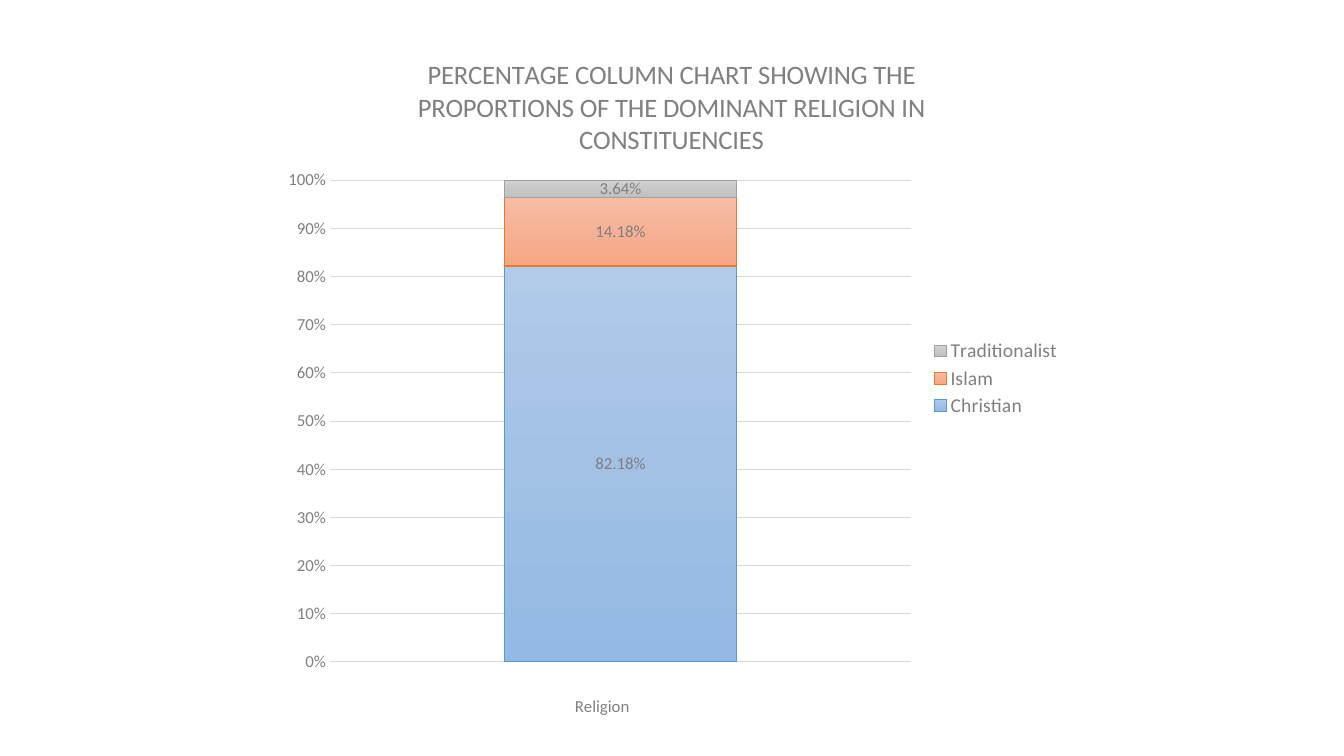
from lxml import etree
from pptx import Presentation
from pptx.chart.data import CategoryChartData
from pptx.dml.color import RGBColor
from pptx.enum.chart import XL_CHART_TYPE, XL_LABEL_POSITION, XL_LEGEND_POSITION, XL_TICK_MARK
from pptx.oxml import parse_xml
from pptx.oxml.ns import nsdecls, qn
from pptx.util import Inches, Pt

TITLE = "PERCENTAGE COLUMN CHART SHOWING THE PROPORTIONS OF THE DOMINANT RELIGION IN CONSTITUENCIES"
AXIS = "Religion"
FONT = "Calibri"
COLORS = {"text": "808080", "grid": "D9D9D9"}
SERIES = [
    ("Christian", 0.8218, ("B1CBE9", "A3C1E5", "93B9E4"), "5998D0"),
    ("Islam", 0.1418, ("F7BDA5", "F5B196", "F8A582"), "E87A30"),
    ("Traditionalist", 0.0364, ("D2D2D2", "C8C8C8", "C0C0C0"), "A1A1A1"),
]
BOX = (2.71, 0.23, 7.92, 7.05)
PLACES = {
    "title": {"x": 0.175, "y": 0.04},
    "plot": {"x": 0.071, "y": 0.221, "w": 0.728, "h": 0.678},
    "axis": {"x": 0.374, "y": 0.941},
    "legend": {"x": 0.82, "y": 0.44, "w": 0.17, "h": 0.12},
}


def style(font, size):
    font.name = FONT
    font.size = Pt(size)
    font.bold = False
    font.color.rgb = RGBColor.from_string(COLORS["text"])


def write(frame, text, size=12):
    run = frame.paragraphs[0].add_run()
    run.text = text
    style(run.font, size)


def place(parent, spot, before, inner=False):
    for old in parent.findall(qn("c:layout")):
        parent.remove(old)
    layout = parse_xml(f"<c:layout {nsdecls('c')}/>")
    manual = etree.SubElement(layout, qn("c:manualLayout"))
    if inner:
        etree.SubElement(manual, qn("c:layoutTarget")).set("val", "inner")
    for key in ("x", "y"):
        etree.SubElement(manual, qn(f"c:{key}Mode")).set("val", "edge")
    for key, val in spot.items():
        etree.SubElement(manual, qn(f"c:{key}")).set("val", str(val))
    mark = next(kid for kid in parent if kid.tag in [qn(f"c:{name}") for name in before])
    mark.addprevious(layout)


def shade(series, tones):
    stops = "".join(
        f'<a:gs pos="{i * 50000}"><a:srgbClr val="{tone}"/></a:gs>' for i, tone in enumerate(tones)
    )
    fill = parse_xml(
        f'<a:gradFill {nsdecls("a")} rotWithShape="1"><a:gsLst>{stops}</a:gsLst>'
        '<a:lin ang="5400000" scaled="0"/></a:gradFill>'
    )
    series.format.fill.background()
    props = series._element.find(qn("c:spPr"))
    props.replace(props.find(qn("a:noFill")), fill)


def main():
    deck = Presentation()
    deck.slide_width, deck.slide_height = Inches(13.33), Inches(7.5)
    slide = deck.slides.add_slide(deck.slide_layouts[6])

    data = CategoryChartData(number_format="0.00%")
    data.categories = ["1"]
    for name, share, _, _ in SERIES:
        data.add_series(name, [share])
    chart = slide.shapes.add_chart(
        XL_CHART_TYPE.COLUMN_STACKED_100, *map(Inches, BOX), data
    ).chart
    style(chart.font, 12)

    chart.has_title = True
    write(chart.chart_title.text_frame, TITLE, size=19)
    place(chart.chart_title._element, PLACES["title"], ("overlay", "spPr", "txPr"))

    chart.has_legend = True
    legend = chart.legend
    legend.position = XL_LEGEND_POSITION.RIGHT
    legend.include_in_layout = False
    style(legend.font, 14)
    place(legend._element, PLACES["legend"], ("overlay",))

    base = chart.category_axis
    base.visible = False
    base.has_title = True
    write(base.axis_title.text_frame, AXIS)
    place(base.axis_title._element, PLACES["axis"], ("overlay", "spPr", "txPr"))

    scale = chart.value_axis
    scale.minimum_scale, scale.maximum_scale, scale.major_unit = 0, 1, 0.1
    scale.major_tick_mark = scale.minor_tick_mark = XL_TICK_MARK.NONE
    scale.tick_labels.number_format = "0%"
    scale.tick_labels.number_format_is_linked = False
    style(scale.tick_labels.font, 12)
    scale.format.line.fill.background()
    scale.has_major_gridlines = True
    grid = scale.major_gridlines.format.line
    grid.width = Pt(0.75)
    grid.color.rgb = RGBColor.from_string(COLORS["grid"])

    plot = chart.plots[0]
    plot.gap_width, plot.overlap = 150, 100
    plot.vary_by_categories = False
    place(plot._element.getparent(), PLACES["plot"], ("barChart",), inner=True)
    for series, (_, _, tones, edge) in zip(plot.series, SERIES):
        shade(series, tones)
        series.format.line.width = Pt(0.75)
        series.format.line.color.rgb = RGBColor.from_string(edge)
        labels = series.data_labels
        labels.show_value = True
        labels.position = XL_LABEL_POSITION.CENTER
        labels.number_format = "0.00%"
        labels.number_format_is_linked = False
        style(labels.font, 12)

    deck.save("out.pptx")


if __name__ == "__main__":
    main()
